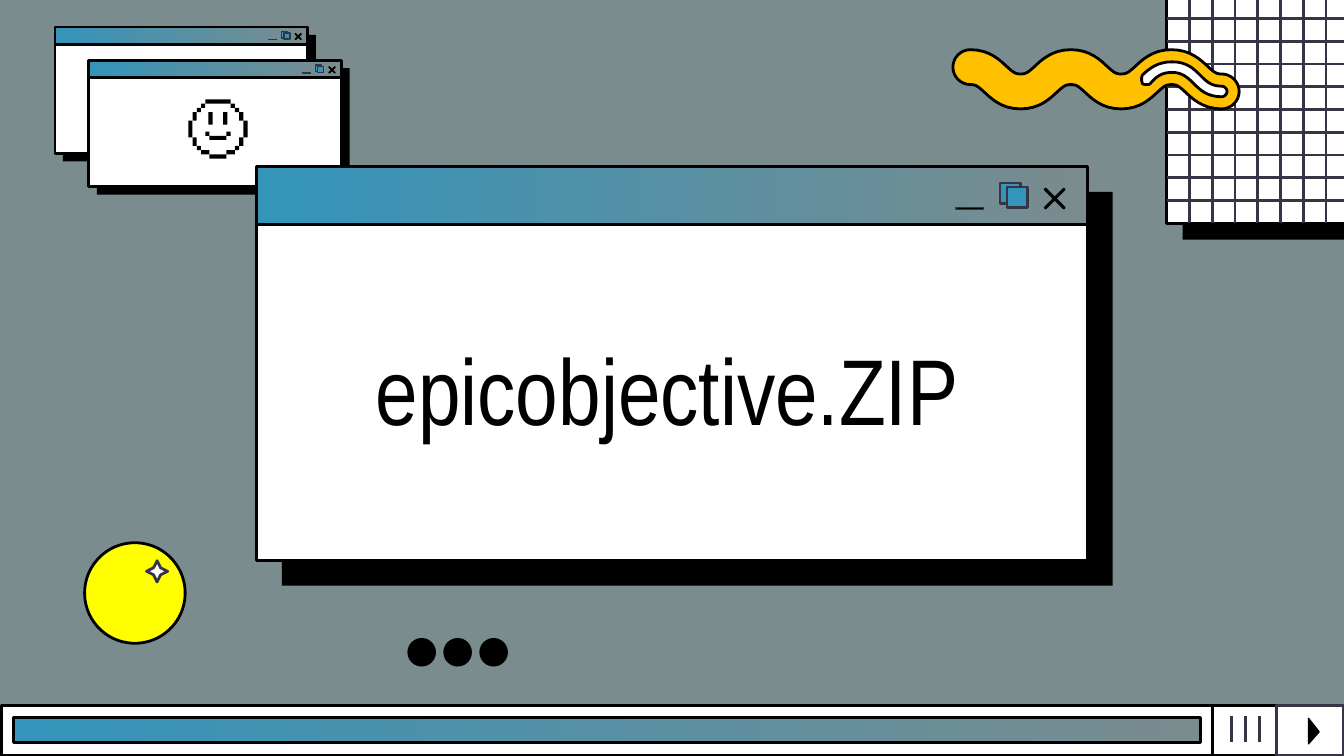
from dataclasses import dataclass

from lxml import etree
from pptx import Presentation
from pptx.dml.color import RGBColor
from pptx.enum.shapes import MSO_CONNECTOR, MSO_SHAPE
from pptx.enum.text import MSO_ANCHOR, PP_ALIGN
from pptx.oxml.ns import qn
from pptx.util import Cm, Pt

RECT, OVAL, STAR = MSO_SHAPE.RECTANGLE, MSO_SHAPE.OVAL, MSO_SHAPE.STAR_4_POINT
TIMES, MINUS = MSO_SHAPE.MATH_MULTIPLY, MSO_SHAPE.MATH_MINUS
TRIANGLE = MSO_SHAPE.ISOSCELES_TRIANGLE
STRAIGHT = MSO_CONNECTOR.STRAIGHT
MIDDLE, CENTER = MSO_ANCHOR.MIDDLE, PP_ALIGN.CENTER


@dataclass(frozen=True)
class Theme:
    """Colours, line widths and type of the slide."""
    backdrop: str = "7A8C8E"
    blue: str = "3494BA"
    ink: str = "373545"
    black: str = "000000"
    white: str = "FFFFFF"
    yellow: str = "FFFF00"
    amber: str = "FFC000"
    thick: float = 1.5
    thin: float = 0.75
    font: str = "Arial Narrow"
    title_size: int = 50


THEME = Theme()
BAR_GRADIENT = (THEME.backdrop, THEME.blue)

FACE_LEFT_HALF = [
    (4, 0, 3, 1), (3, 1, 1, 1), (2, 2, 1, 1), (1, 3, 1, 2), (0, 5, 1, 4),
    (1, 9, 1, 2), (2, 11, 1, 1), (3, 12, 2, 1), (5, 13, 2, 1),
    (4.75, 3, 1, 3), (4, 7.6, 1, 1), (5, 8.6, 2, 1),
]
WORM_CAP = [(0.33, 0), (0.15, 0), (0, 0.15), (0, 0.33),
            (0, 0.51), (0.15, 0.66), (0.33, 0.66)]
WORM_SLOPE = [(0, 0), (0.1, 0), (0.14, 0.03), (0.25, 0.13),
              (0.38, 0.25), (0.58, 0.46), (0.95, 0.46)]
WORM_SHINE = [
    (4.14, 0.23), (3.86, 0.23), (3.71, 0.36), (3.58, 0.48),
    (3.56, 0.53), (3.56, 0.58), (3.58, 0.64), (3.61, 0.66), (3.63, 0.66), (3.66, 0.66),
    (3.68, 0.66), (3.71, 0.66), (3.73, 0.64), (3.84, 0.51), (3.94, 0.43), (4.14, 0.43),
    (4.32, 0.43), (4.42, 0.51), (4.55, 0.64), (4.67, 0.76), (4.8, 0.89), (5.08, 0.89),
    (5.13, 0.89), (5.18, 0.84), (5.18, 0.79), (5.18, 0.74), (5.13, 0.69), (5.08, 0.69),
    (4.88, 0.69), (4.8, 0.61), (4.67, 0.48), (4.55, 0.36), (4.42, 0.23), (4.14, 0.23),
]


def apply_format(target, values):
    """Set each named attribute of the target."""
    for name, value in values.items():
        setattr(target, name, value)


def paint(shape, fill, line=None, width=THEME.thick):
    """Give a shape a plain or gradient fill and an optional outline."""
    shape.shadow.inherit = False
    if isinstance(fill, tuple):
        shape.fill.gradient()
        shape.fill.gradient_angle = 180
        for stop, colour in zip(shape.fill.gradient_stops, fill):
            stop.color.rgb = RGBColor.from_string(colour)
    else:
        shape.fill.solid()
        shape.fill.fore_color.rgb = RGBColor.from_string(fill)
    if line:
        shape.line.color.rgb = RGBColor.from_string(line)
        shape.line.width = Pt(width)
    else:
        shape.line.fill.background()


def add_part(slide, kind, box, fill, line=None, width=THEME.thick, adjust=None):
    """Place a preset shape in a box given in centimetres."""
    part = slide.shapes.add_shape(kind, *map(Cm, box))
    paint(part, fill, line, width)
    if adjust is not None:
        part.adjustments[0] = adjust
    return part


def add_rule(slide, x1, y1, x2, y2):
    """Draw a straight ink line."""
    rule = slide.shapes.add_connector(STRAIGHT, *map(Cm, (x1, y1, x2, y2)))
    rule.line.color.rgb = RGBColor.from_string(THEME.ink)
    rule.line.width = Pt(THEME.thick)
    etree.SubElement(rule._element.spPr, qn("a:effectLst"))


def trace_curve(knots, steps=8):
    """Return points along a chain of cubic Bézier curves."""
    points = [knots[0]]
    for start in range(0, len(knots) - 1, 3):
        a, b, c, d = knots[start:start + 4]
        for step in range(1, steps + 1):
            t = step / steps
            u = 1 - t
            points.append(tuple(
                u**3 * a[i] + 3 * u * u * t * b[i] + 3 * u * t * t * c[i] + t**3 * d[i]
                for i in (0, 1)))
    return points


def add_outline(slide, left, top, points, fill):
    """Draw a closed outline from points relative to a corner."""
    (x, y), *rest = [(Cm(left + px), Cm(top + py)) for px, py in points]
    builder = slide.shapes.build_freeform(x, y)
    builder.add_line_segments(rest, close=True)
    paint(builder.convert_to_shape(), fill, THEME.black)


def add_window(slide, box, bar, shadow):
    """Draw a window with its shadow, title bar and controls."""
    left, top, width, height = box
    add_part(slide, RECT, (left + shadow, top + shadow, width, height), THEME.black)
    add_part(slide, RECT, (left, top, width, bar), BAR_GRADIENT, THEME.black)
    add_part(slide, RECT, (left, top + bar, width, height - bar), THEME.white, THEME.black)
    right = left + width
    pane_line = THEME.thick if bar > 1 else THEME.thin
    controls = [
        (RECT, (-1.5, 0.28, 0.35, 0.35), THEME.blue, THEME.ink, pane_line, None),
        (RECT, (-1.38, 0.35, 0.35, 0.35), THEME.blue, THEME.ink, pane_line, None),
        (TIMES, (-0.88, 0.23, 0.64, 0.64), THEME.black, THEME.black, THEME.thin, 0.046),
        (MINUS, (-2.34, 0.65, 0.64, 0.14), THEME.black, THEME.ink, THEME.thin, 0.235),
    ]
    for kind, (x, y, w, h), *style in controls:
        place = (right + x * bar, top + y * bar, w * bar, h * bar)
        add_part(slide, kind, place, *style)


def add_pixel_face(slide, left, top, size):
    """Draw a mirrored smiling face on a 14 by 14 pixel grid."""
    pixel = size / 14
    for column, row, w, h in FACE_LEFT_HALF:
        for x in (column, 14 - column - w):
            place = (left + x * pixel, top + row * pixel, w * pixel, h * pixel)
            add_part(slide, RECT, place, THEME.black)


def add_grid_paper(slide, box, pitch):
    """Draw squared paper that runs off the top right corner."""
    left, top, width, height = box
    right, bottom = left + width, top + height
    add_part(slide, RECT, (left + 0.3, 0.36, width + 0.15, 4.17), THEME.black)
    add_part(slide, RECT, box, THEME.white, THEME.black)
    for column in range(1, 8):
        x = left + column * pitch
        add_rule(slide, x, top, x, bottom)
    for row in range(1, 10):
        y = bottom - row * pitch
        add_rule(slide, left, y, right, y)


def add_worm(slide, box):
    """Draw a wavy worm, whose upper edge is its lower edge turned round."""
    left, top, width, height = box
    fall = trace_curve(WORM_SLOPE)
    wave = fall + [(1.9 - x, y) for x, y in reversed(fall)]
    lower = trace_curve(WORM_CAP)
    for start, edge in ((0.33, wave), (2.23, wave), (4.13, fall)):
        lower += [(start + x, 0.66 + y) for x, y in edge]
    upper = [(width - x, height - y) for x, y in lower]
    add_outline(slide, left, top, lower + upper, THEME.amber)
    add_outline(slide, left, top, trace_curve(WORM_SHINE), THEME.white)


def add_ball(slide, left, top, size):
    """Draw a yellow ball with a sparkle."""
    add_part(slide, OVAL, (left, top, size, size), THEME.yellow, THEME.black)
    add_part(slide, STAR, (left + 1.17, top + 0.34, 0.4, 0.4),
             THEME.white, THEME.ink, adjust=0.236)


def add_dots(slide, left, top, size, pitch):
    """Draw three dots in a row."""
    for index in range(3):
        add_part(slide, OVAL, (left + index * pitch, top, size, size), THEME.black)


def add_scroll_bar(slide, box):
    """Draw the bar along the foot with its grip and arrow button."""
    left, top, width, height = box
    add_part(slide, RECT, box, THEME.white, THEME.black)
    add_part(slide, RECT, (left + 0.23, top + 0.23, 22.43, 0.46), BAR_GRADIENT, THEME.black)
    grip = left + 22.89
    add_part(slide, RECT, (grip, top, 1.24, height), THEME.white, THEME.black)
    for index in range(3):
        x = grip + 0.35 + index * 0.27
        add_rule(slide, x, top + 0.2, x, top + 0.68)
    button = left + 24.1
    add_part(slide, RECT, (button, top, 1.27, height), THEME.white, THEME.ink)
    arrow = add_part(slide, TRIANGLE, (button + 0.46, top + 0.38, 0.48, 0.2),
                     THEME.black, THEME.black, THEME.thin, 0.531)
    arrow.rotation = 90


def add_title(slide, box, wording):
    """Place the centred title."""
    frame = slide.shapes.add_textbox(*map(Cm, box)).text_frame
    apply_format(frame, {"word_wrap": True, "vertical_anchor": MIDDLE})
    paragraph = frame.paragraphs[0]
    apply_format(paragraph, {"text": wording, "alignment": CENTER})
    font = paragraph.runs[0].font
    apply_format(font, {"name": THEME.font, "size": Pt(THEME.title_size)})
    font.color.rgb = RGBColor.from_string(THEME.black)


def main():
    """Build and save the slide."""
    deck = Presentation()
    apply_format(deck, {"slide_width": Cm(25.4), "slide_height": Cm(14.29)})
    slide = deck.slides.add_slide(deck.slide_layouts[6])
    slide.background.fill.solid()
    slide.background.fill.fore_color.rgb = RGBColor.from_string(THEME.backdrop)

    add_scroll_bar(slide, (0.03, 13.34, 25.34, 0.94))
    add_ball(slide, 1.6, 10.26, 1.9)
    add_dots(slide, 7.7, 12.06, 0.54, 0.68)
    for left, top in ((1.04, 0.51), (1.68, 1.14)):
        add_window(slide, (left, top, 4.78, 2.39), 0.33, 0.15)
    add_grid_paper(slide, (22.05, -3.1, 6.43, 7.32), 0.43)
    add_worm(slide, (18.01, 0.94, 5.41, 1.12))
    add_pixel_face(slide, 3.56, 1.88, 1.12)
    add_window(slide, (4.85, 3.15, 15.7, 7.44), 1.1, 0.48)
    add_title(slide, (5.36, 4.88, 14.5, 4.9), "epicobjective.ZIP")
    deck.save("out.pptx")


if __name__ == "__main__":
    main()
